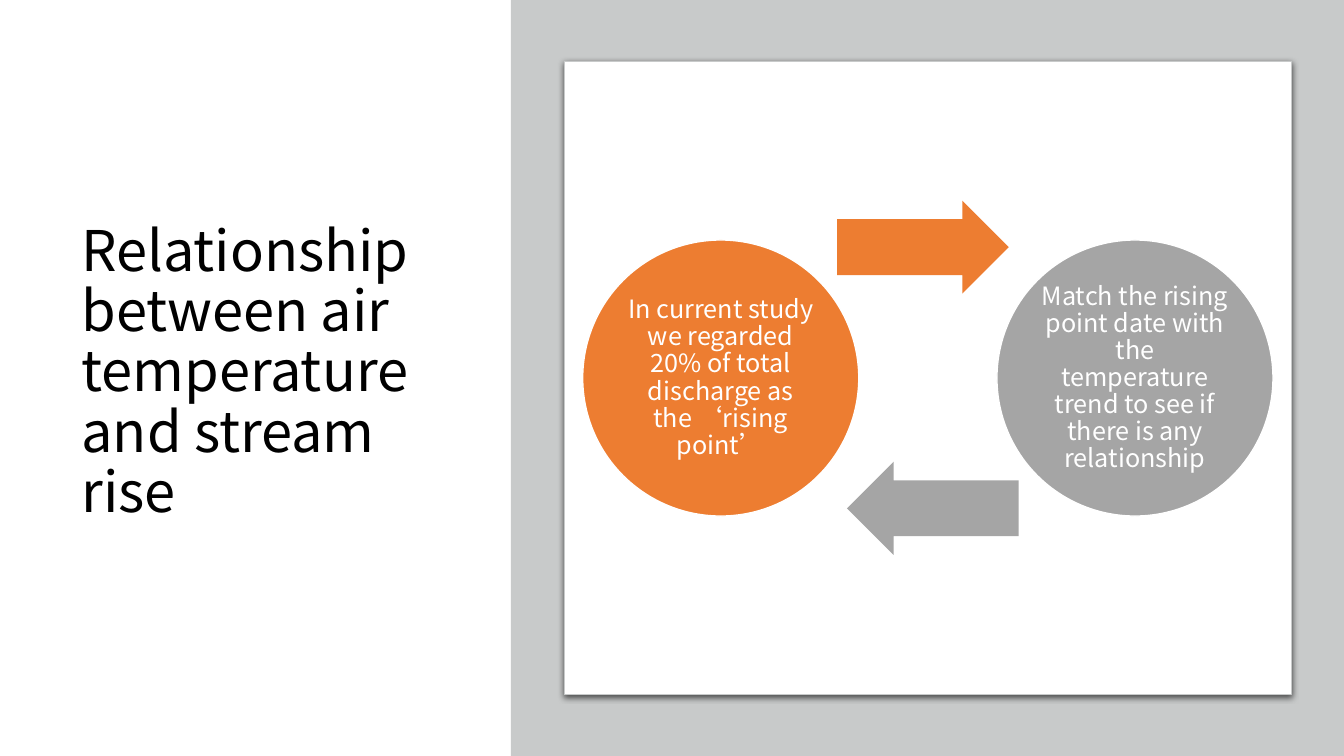
import pptx
import pptx.util
import pptx.dml.color
import pptx.enum.shapes
import pptx.enum.text
import pptx.oxml
import pptx.oxml.ns

Pt = pptx.util.Pt
RGBColor = pptx.dml.color.RGBColor
MSO_SHAPE = pptx.enum.shapes.MSO_SHAPE
PP_ALIGN = pptx.enum.text.PP_ALIGN

FONT = "Noto Sans CJK SC"
BLACK = RGBColor(0x00, 0x00, 0x00)
WHITE = RGBColor(0xFF, 0xFF, 0xFF)
PANEL = RGBColor(0xC8, 0xCA, 0xCA)
ORANGE = RGBColor(0xED, 0x7D, 0x31)
GRAY = RGBColor(0xA5, 0xA5, 0xA5)

prs = pptx.Presentation()
prs.slide_width, prs.slide_height = Pt(960), Pt(540)
s = prs.slides.add_slide(prs.slide_layouts[5])


def add_shape(kind, x, y, w, h, fill, line=None, line_width=1):
    sp = s.shapes.add_shape(kind, Pt(x), Pt(y), Pt(w), Pt(h))
    sp.shadow.inherit = False
    sp.fill.solid()
    sp.fill.fore_color.rgb = fill
    if line is None:
        sp.line.fill.background()
    else:
        sp.line.color.rgb = line
        sp.line.width = Pt(line_width)
    return sp


def write(tf, text, size, color, align, spacing):
    tf.word_wrap = True
    tf.auto_size = pptx.enum.text.MSO_AUTO_SIZE.NONE
    tf.vertical_anchor = pptx.enum.text.MSO_ANCHOR.MIDDLE
    p = tf.paragraphs[0]
    p.alignment = align
    p.line_spacing = Pt(spacing)
    r = p.add_run()
    r.text = text
    r.font.name = FONT
    r.font.size = Pt(size)
    r.font.color.rgb = color


# Title
title = s.shapes.title
title.left, title.top, title.width, title.height = Pt(51), Pt(49.7), Pt(288.7), Pt(433.4)
write(title.text_frame, "Relationship between air temperature and stream rise",
      40, BLACK, PP_ALIGN.LEFT, 43)

# Gray panel and white card with a soft shadow
add_shape(MSO_SHAPE.RECTANGLE, 365, 0, 595, 540, PANEL)
card = add_shape(MSO_SHAPE.RECTANGLE, 403.2, 43.9, 519.1, 452.2, WHITE, PANEL, 0.75)
effects = card._element.spPr.find(pptx.oxml.ns.qn("a:effectLst"))
effects.append(pptx.oxml.parse_xml(
    f'<a:outerShdw {pptx.oxml.ns.nsdecls("a")} blurRad="{Pt(4.5)}" dist="{Pt(1.5)}" '
    'dir="5400000" algn="ctr" rotWithShape="0">'
    '<a:srgbClr val="000000"><a:alpha val="63000"/></a:srgbClr></a:outerShdw>'))

# Cycle: each circle is followed by the arrow that leaves it
steps = [
    ("In current study we regarded 20% of total discharge as the \u2018rising point\u2019",
     ORANGE, 416.2, 598, 143.3, 0),
    ("Match the rising point date with the temperature trend to see if there is any relationship",
     GRAY, 712.1, 605, 329.8, 180),
]
for text, color, circle_x, arrow_x, arrow_y, rotation in steps:
    circle = add_shape(MSO_SHAPE.OVAL, circle_x, 171.4, 197.2, 197.2, color, WHITE)
    tf = circle.text_frame
    tf.margin_left = tf.margin_right = tf.margin_top = tf.margin_bottom = Pt(2)
    write(tf, text, 18, WHITE, PP_ALIGN.CENTER, 19.4)

    arrow = add_shape(MSO_SHAPE.RIGHT_ARROW, arrow_x, arrow_y, 122.6, 66.5, color)
    arrow.adjustments[0], arrow.adjustments[1] = 0.6, 0.5
    arrow.rotation = rotation

prs.save("out.pptx")
